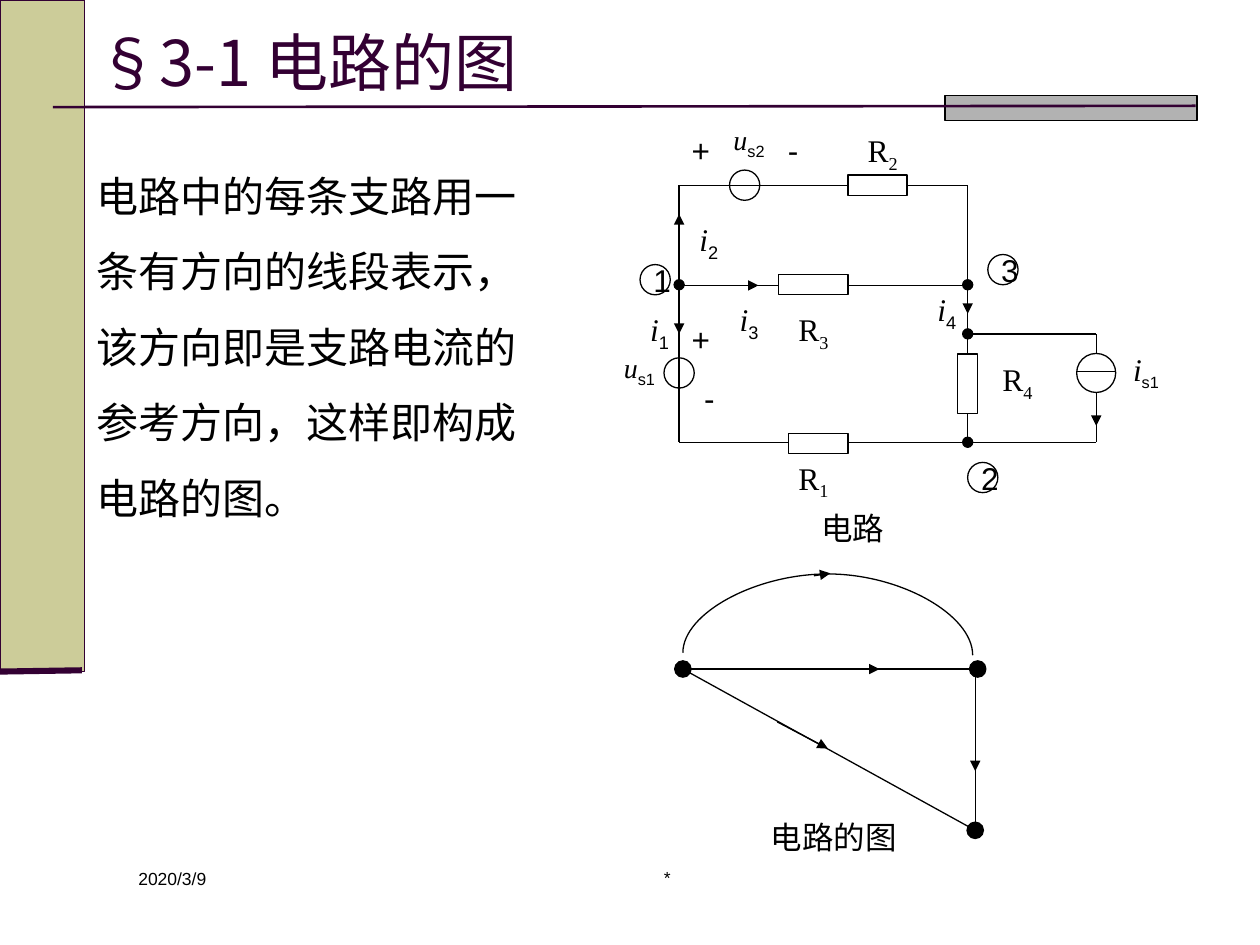
from dataclasses import dataclass

import pptx
import pptx.dml.color
import pptx.enum.shapes
import pptx.enum.text
import pptx.oxml
import pptx.oxml.ns
import pptx.util

COLORS = {"ink": "000000", "paper": "FFFFFF", "plum": "330033",
          "khaki": "CCCC99", "gray": "B2B2B2"}
SANS, SERIF, CJK = "Arial", "Times New Roman", "Noto Sans CJK SC"
SHAPE = pptx.enum.shapes.MSO_SHAPE
CONNECTOR = pptx.enum.shapes.MSO_CONNECTOR
ALIGN = pptx.enum.text.PP_ALIGN
ANCHOR = pptx.enum.text.MSO_ANCHOR

# The slide is a grid of 100 columns by 75 rows
COLS, ROWS = 100, 75
deck = pptx.Presentation()
deck.slide_width, deck.slide_height = pptx.util.Inches(10), pptx.util.Inches(7.5)
CELL = deck.slide_width / COLS
slide = deck.slides.add_slide(deck.slide_layouts[6])


@dataclass
class Run:
    text: str
    size: float = 18
    font: str = SANS
    italic: bool = False
    subscript: bool = False


@dataclass
class Label:
    col: float
    row: float
    width: float
    runs: list[Run]


@dataclass
class Wire:
    col1: float
    row1: float
    col2: float
    row2: float
    arrow: bool = False


def cells(*counts: float) -> list[int]:
    return [round(count * CELL) for count in counts]


def rgb(name: str) -> pptx.dml.color.RGBColor:
    return pptx.dml.color.RGBColor.from_string(COLORS[name])


def add_element(parent, tag: str, **attributes: str):
    child = pptx.oxml.parse_xml(f"<{tag} {pptx.oxml.ns.nsdecls('a')}/>")
    for key, value in attributes.items():
        child.set(key, value)
    parent.append(child)
    return child


def write_text(frame, runs: list[Run], *, color: str = "ink", align=ALIGN.LEFT,
               anchor=ANCHOR.TOP, spacing: float = 1.0) -> None:
    frame.word_wrap = True
    frame.vertical_anchor = anchor
    paragraph = frame.paragraphs[0]
    paragraph.alignment = align
    paragraph.line_spacing = spacing
    for part in runs:
        run = paragraph.add_run()
        run.text = part.text
        run.font.size = pptx.util.Pt(part.size)
        run.font.name = part.font
        run.font.italic = part.italic
        run.font.color.rgb = rgb(color)
        properties = run.font._element
        if part.subscript:
            properties.set("baseline", "-25000")
        add_element(properties, "a:ea", typeface=CJK)


def add_text(col: float, row: float, width: float, height: float,
             runs: list[Run], **text_format) -> None:
    box = slide.shapes.add_textbox(*cells(col, row, width, height))
    write_text(box.text_frame, runs, **text_format)


def add_block(kind, col: float, row: float, width: float, height: float,
              fill: str = "paper", line: str = "ink"):
    block = slide.shapes.add_shape(kind, *cells(col, row, width, height))
    block.shadow.inherit = False
    block.fill.solid()
    block.fill.fore_color.rgb = rgb(fill)
    block.line.color.rgb = rgb(line)
    block.line.width = pptx.util.Pt(0.75)
    return block


def add_circle(col: float, row: float, size: float, fill: str = "paper"):
    """Draw a circle around its centre."""
    return add_block(SHAPE.OVAL, col - size / 2, row - size / 2, size, size, fill)


def add_wire(wire: Wire, color: str = "ink", weight: float = 0.75,
             kind=CONNECTOR.STRAIGHT):
    line = slide.shapes.add_connector(
        kind, *cells(wire.col1, wire.row1, wire.col2, wire.row2))
    line.line.color.rgb = rgb(color)
    line.line.width = pptx.util.Pt(weight)
    if wire.arrow:
        add_element(line.line._get_or_add_ln(), "a:tailEnd", type="triangle")
    add_element(line._element.spPr, "a:effectLst")
    return line


def symbol(letter: str, index: str, size: float = 18, index_size: float = 18) -> list[Run]:
    if letter == "R":
        return [Run(letter, size, SERIF), Run(index, index_size, SERIF, subscript=True)]
    return [Run(letter, size, SERIF, italic=True), Run(index, index_size, subscript=True)]


# Frame of the slide
add_block(SHAPE.RECTANGLE, 0, 0, 6.7, 53.3, "khaki", "plum")
add_block(SHAPE.RECTANGLE, 75, 7.6, 20, 2, "gray")
add_wire(Wire(4.2, 8.5, 94.9, 8.4), "plum", 1.5)
add_wire(Wire(0, 53.3, 6.5, 53.2), "plum", 3.5)
add_text(10, 68.4, 21.7, 5, [Run("2020/3/9", 10)])
add_text(36.7, 68.3, 32.5, 5, [Run("*", 10)], align=ALIGN.CENTER)

# Title, explanation and captions
add_text(6.7, 2.1, 88.3, 5.5, [Run("§3-1 电路的图", 36, CJK)],
         color="plum", anchor=ANCHOR.MIDDLE)
add_text(64.2, 39.9, 7.1, 4, [Run("电路")])
add_text(60.2, 64.4, 16.5, 4, [Run("电路的图")])
add_text(6.7, 11, 35.9, 30.5,
         [Run("电路中的每条支路用一条有方向的线段表示，该方向即是支路电流的"
              "参考方向，这样即构成电路的图。", 24)], spacing=1.5)

# Graph of the circuit: nodes, branches and directions
NODE1, NODE3, NODE2 = (54.2, 53.1), (77.6, 53.1), (77.4, 65.9)
for node in (NODE1, NODE3, NODE2):
    add_circle(*node, 1.3, "ink")
for branch in (
    Wire(*NODE1, *NODE2), Wire(*NODE1, *NODE3), Wire(77.4, 53.1, *NODE2),
    Wire(63.3, 53.1, 69.8, 53.1, True), Wire(77.4, 55.2, 77.4, 61.2, True),
    Wire(61.7, 57.3, 65.7, 59.4, True), Wire(64.6, 45.7, 65.9, 45.5, True),
):
    add_wire(branch)

# Curved branch: a quarter-turned connector that bulges upwards
arc = add_wire(Wire(65.6, 40.4, 65.8, 63.4), kind=CONNECTOR.CURVE)
arc._element.spPr.xfrm.set("rot", "5400000")
arc._element.spPr.xfrm.set("flipV", "1")
arc_geometry = arc._element.spPr.find(pptx.oxml.ns.qn("a:prstGeom"))
arc_adjustments = arc_geometry.find(pptx.oxml.ns.qn("a:avLst"))
if arc_adjustments is None:
    arc_adjustments = add_element(arc_geometry, "a:avLst")
add_element(arc_adjustments, "a:gd", name="adj1", fmla="val -3114300")

# Circuit rails
LEFT, MIDDLE, RIGHT = 53.9, 76.8, 87
TOP, UPPER, LOWER, BOTTOM = 14.7, 22.65, 26.5, 35.1

# Node numbers, junctions and voltage sources
for number, col, row in (("1", 52, 22.2), ("3", 79.6, 21.4), ("2", 78, 37.9)):
    write_text(add_circle(col, row, 2.4).text_frame, [Run(number)],
               align=ALIGN.CENTER, anchor=ANCHOR.MIDDLE)
for col, row in ((LEFT, 22.6), (MIDDLE, 22.6), (MIDDLE, LOWER), (MIDDLE, BOTTOM)):
    add_circle(col, row, 0.8, "ink")
for col, row in ((LEFT, 29.6), (59.1, TOP)):
    add_circle(col, row, 2.4)

# Wires and current directions
for wire in (
    Wire(LEFT, TOP, MIDDLE, TOP), Wire(LEFT, UPPER, MIDDLE, UPPER),
    Wire(LEFT, BOTTOM, RIGHT, BOTTOM), Wire(RIGHT, LOWER, MIDDLE, LOWER),
    Wire(LEFT, TOP, LEFT, BOTTOM), Wire(MIDDLE, TOP, MIDDLE, BOTTOM),
    Wire(RIGHT, BOTTOM, RIGHT, LOWER),
    Wire(LEFT, 24.1, LEFT, 26.5, True), Wire(LEFT, 21.8, LEFT, 17, True),
    Wire(56.3, UPPER, 60.2, UPPER, True), Wire(MIDDLE, 23.3, MIDDLE, 24.9, True),
    Wire(RIGHT, 32, RIGHT, 33.8, True),
):
    add_wire(wire)

# Current source and resistors
add_circle(RIGHT, 29.6, 3.1)
add_wire(Wire(85.4, 29.5, 88.6, 29.5))
for col, row, width, height in ((62.6, 34.4, 4.7, 1.6), (76, 28.1, 1.6, 4.7),
                                (67.3, 13.9, 4.7, 1.6), (61.8, 21.8, 5.5, 1.6)):
    add_block(SHAPE.RECTANGLE, col, row, width, height)

# Symbols beside the parts
for label in (
    Label(61, 35.9, 7.1, symbol("R", "1")), Label(66.5, 9.9, 7.1, symbol("R", "2")),
    Label(61, 24.1, 7.1, symbol("R", "3")), Label(78.4, 28.1, 4.7, symbol("R", "4")),
    Label(50, 24.1, 4.7, symbol("i", "1")), Label(53.9, 17, 4.7, symbol("i", "2")),
    Label(57.1, 23.3, 4.7, symbol("i", "3")), Label(72.8, 22.5, 4.7, symbol("i", "4")),
    Label(47.6, 27.3, 6.3, symbol("u", "s1", 16, 16)),
    Label(56.3, 9.2, 6.3, symbol("u", "s2", 16, 16)),
    Label(87.8, 27.3, 6.3, symbol("i", "s1", 18, 16)),
    Label(53.9, 24.9, 3.1, [Run("+")]), Label(54.7, 29.6, 3.2, [Run("-")]),
    Label(53.9, 9.9, 3.1, [Run("+")]), Label(59.4, 9.9, 7.1, [Run("-")]),
):
    add_text(label.col, label.row, label.width, 4, label.runs, align=ALIGN.CENTER)

deck.save("out.pptx")
